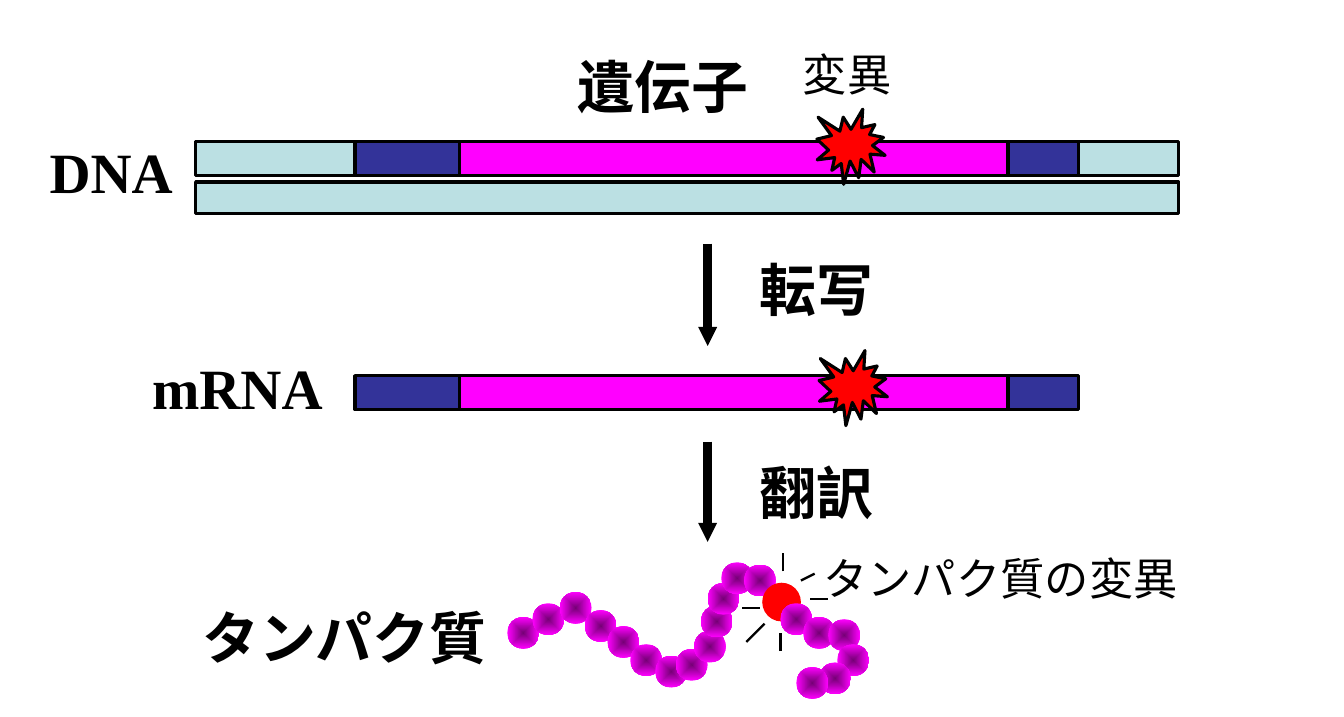
from lxml import etree
from pptx import Presentation
from pptx.dml.color import RGBColor
from pptx.enum.shapes import MSO_CONNECTOR, MSO_SHAPE
from pptx.enum.text import MSO_AUTO_SIZE
from pptx.oxml.ns import qn
from pptx.util import Inches, Pt

BLACK = RGBColor(0x00, 0x00, 0x00)
PALE_BLUE = RGBColor(0xBB, 0xE0, 0xE3)
NAVY = RGBColor(0x33, 0x33, 0x99)
MAGENTA = RGBColor(0xFF, 0x00, 0xFF)
PURPLE = RGBColor(0x76, 0x00, 0x76)
RED = RGBColor(0xFF, 0x00, 0x00)

# The page is 3402 by 1814 master units, 576 to the inch
deck = Presentation()
deck.slide_width = Inches(3402 / 576)
deck.slide_height = Inches(1814 / 576)
page = deck.slides.add_slide(deck.slide_layouts[6])


def add_filled(kind, left, top, width, height, color, outlined=True):
    shape = page.shapes.add_shape(
        kind, Inches(left), Inches(top), Inches(width), Inches(height))
    shape.shadow.inherit = False
    shape.fill.solid()
    shape.fill.fore_color.rgb = color
    if outlined:
        shape.line.color.rgb = BLACK
        shape.line.width = Pt(1)
    else:
        shape.line.fill.background()
    return shape


def add_line(x1, y1, x2, y2, points):
    line = page.shapes.add_connector(
        MSO_CONNECTOR.STRAIGHT, Inches(x1), Inches(y1), Inches(x2), Inches(y2))
    line.line.color.rgb = BLACK
    line.line.width = Pt(points)
    etree.SubElement(line._element.spPr, qn("a:effectLst"))
    return line


# DNA strands, then the gene region on the DNA and on the mRNA
for left, top, width, height, color in [
    (0.86, 0.62, 4.32, 0.15, PALE_BLUE),
    (0.86, 0.8, 4.32, 0.14, PALE_BLUE),
    (1.56, 0.62, 3.18, 0.15, NAVY),
    (2.02, 0.62, 2.41, 0.15, MAGENTA),
    (1.56, 1.65, 3.18, 0.15, NAVY),
    (2.02, 1.65, 2.41, 0.15, MAGENTA),
]:
    add_filled(MSO_SHAPE.RECTANGLE, left, top, width, height, color)

# Transcription and translation arrows
for top, bottom in [(1.07, 1.52), (1.94, 2.38)]:
    arrow = add_line(3.11, top, 3.11, bottom, 3)
    etree.SubElement(arrow.line._get_or_add_ln(), qn("a:tailEnd"),
                     type="triangle", w="sm", len="sm")

# Protein chain with one mutated bead
MUTATED = (3.35, 2.56)
chain = [
    (2.23, 2.71), (2.34, 2.65), (2.46, 2.6), (2.57, 2.68), (2.67, 2.75),
    (2.77, 2.83), (2.88, 2.88), (2.97, 2.85), (3.05, 2.77), (3.08, 2.66),
    (3.11, 2.56), (3.17, 2.47), (3.27, 2.48), MUTATED, (3.43, 2.65),
    (3.53, 2.71), (3.64, 2.72), (3.68, 2.83), (3.6, 2.91), (3.5, 2.93),
]
for left, top in chain:
    size = 0.17 if (left, top) == MUTATED else 0.14
    bead = add_filled(MSO_SHAPE.OVAL, left, top, size, size, RED, outlined=False)
    if (left, top) == MUTATED:
        continue
    bead.fill.gradient()
    for stop, color, position in zip(bead.fill.gradient_stops, (PURPLE, MAGENTA), (0, 1)):
        stop.color.rgb = color
        stop.position = position
    gradient = bead._element.spPr.find(qn("a:gradFill"))
    gradient.remove(gradient.find(qn("a:lin")))
    spread = etree.SubElement(gradient, qn("a:path"), path="rect")
    etree.SubElement(spread, qn("a:fillToRect"),
                     {side: "50000" for side in "ltrb"})

# Mutation marks
for left, top in [(3.59, 0.48), (3.6, 1.54)]:
    add_filled(MSO_SHAPE.EXPLOSION1, left, top, 0.3, 0.33, RED)

# Rays around the mutated bead
for ray in [
    (3.44, 2.51, 3.44, 2.43), (3.52, 2.55, 3.58, 2.52),
    (3.56, 2.63, 3.64, 2.63), (3.34, 2.67, 3.26, 2.67),
    (3.36, 2.74, 3.28, 2.82), (3.43, 2.86, 3.43, 2.78),
]:
    add_line(*ray, 0.75)

HEADING = {"name": "Times New Roman", "size": Pt(18), "bold": True}
NOTE = {"name": "Arial", "size": Pt(14), "bold": False}
for text, left, top, width, height, style in [
    ("DNA", 0.12, 0.55, 0.74, 0.4, HEADING),
    ("mRNA", 0.57, 1.5, 0.95, 0.4, HEADING),
    ("タンパク質", 0.79, 2.6, 1.45, 0.4, HEADING),
    ("変異", 3.43, 0.16, 0.59, 0.34, NOTE),
    ("遺伝子", 2.44, 0.18, 0.95, 0.4, HEADING),
    ("タンパク質の変異", 3.52, 2.37, 1.76, 0.34, NOTE),
    ("転写", 3.24, 1.07, 0.7, 0.4, HEADING),
    ("翻訳", 3.24, 1.96, 0.7, 0.4, HEADING),
]:
    box = page.shapes.add_textbox(
        Inches(left), Inches(top), Inches(width), Inches(height))
    frame = box.text_frame
    frame.word_wrap = False
    frame.auto_size = MSO_AUTO_SIZE.SHAPE_TO_FIT_TEXT
    span = frame.paragraphs[0].add_run()
    span.text = text
    span.font.color.rgb = BLACK
    for name, value in style.items():
        setattr(span.font, name, value)

deck.save("out.pptx")
